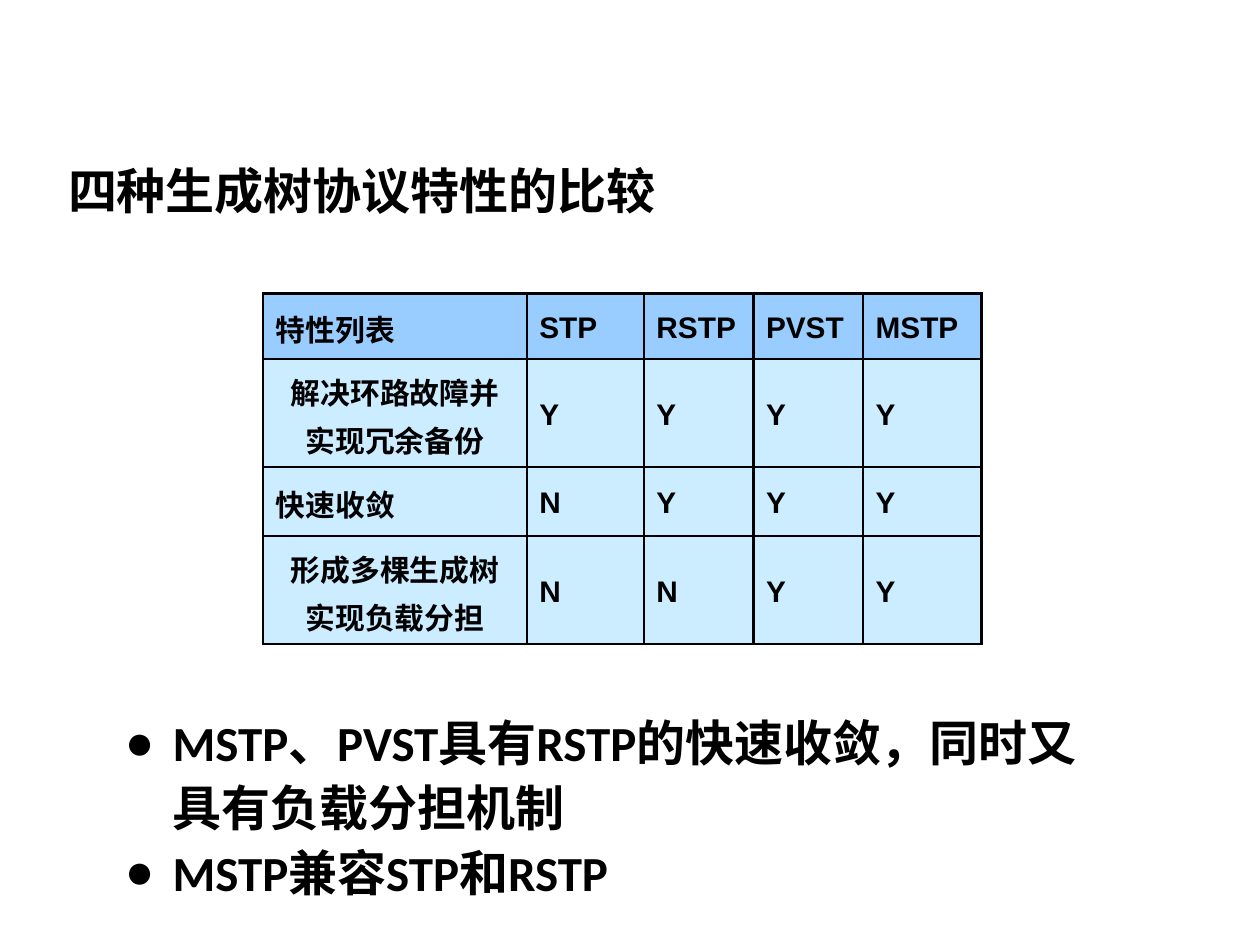
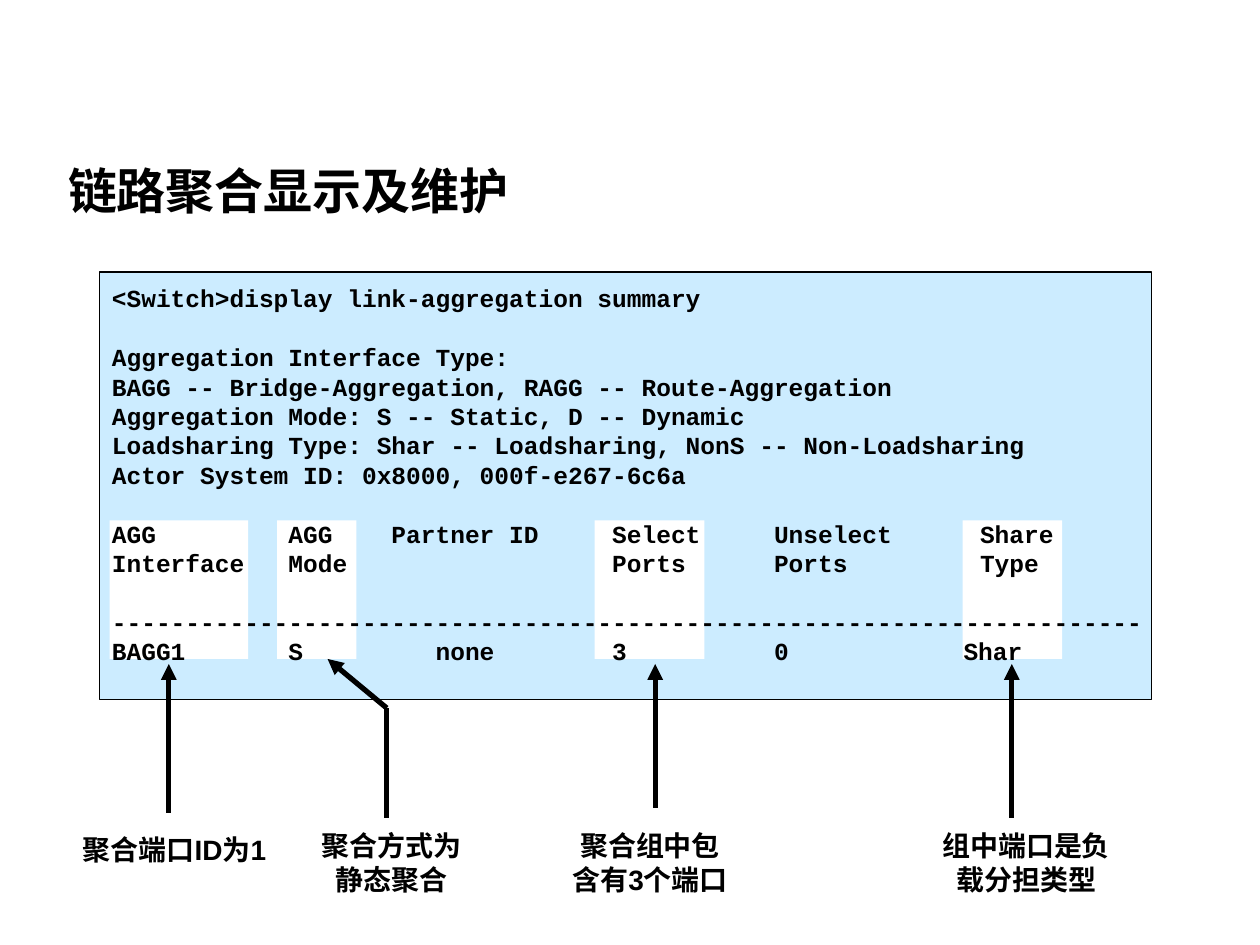
from dataclasses import dataclass

from lxml.etree import SubElement
from pptx import Presentation
from pptx.dml.color import RGBColor
from pptx.enum.shapes import MSO_CONNECTOR, MSO_SHAPE
from pptx.enum.text import MSO_ANCHOR, MSO_AUTO_SIZE, PP_ALIGN
from pptx.oxml.ns import qn
from pptx.util import Inches, Length, Pt

BLACK = RGBColor(0x00, 0x00, 0x00)
WHITE = RGBColor(0xFF, 0xFF, 0xFF)
PALE_BLUE = RGBColor(0xCC, 0xEC, 0xFF)
HEADER_BLUE = RGBColor(0x99, 0xCC, 0xFF)
CJK_FONT = "Noto Sans CJK JP"

SLIDE_WIDTH, SLIDE_HEIGHT = Inches(10), Inches(7.5)
GRID_COLUMNS, GRID_ROWS = 100, 75
CODE_LEADING = Pt(16.8)
COLUMN_ROW, RESULT_TOP, RESULT_HEIGHT = 41.3, 41.3, 11


@dataclass(frozen=True)
class Area:
    """A rectangle in grid columns and rows."""
    left: float
    top: float
    width: float
    height: float

    def lengths(self) -> tuple[Length, Length, Length, Length]:
        return col(self.left), row(self.top), col(self.width), row(self.height)


@dataclass(frozen=True)
class Callout:
    """A highlighted output column, the arrow to it and its explanation."""
    column_left: float
    column_width: float
    arrow: tuple[tuple[float, float], ...]
    label: str
    label_area: Area


TITLE_AREA = Area(4.4, 11.5, 86.1, 7.1)
POINTS_AREA = Area(8.9, 55.6, 80.8, 18.1)
OUTPUT_AREA = Area(7.9, 21.6, 83.5, 33.9)
OUTPUT_TEXT_AREA = Area(7.9, 22, 84.3, 31.2)
TABLE_LEFT, TABLE_TOP = 20.9, 23.3
TABLE_COLUMNS = (20.9, 9.3, 8.7, 8.7, 9.4)
TABLE_ROWS = (5.2, 7.3, 5.5, 7.3)

FEATURES = (
    ("特性列表", "STP", "RSTP", "PVST", "MSTP"),
    ("解决环路故障并实现冗余备份", "Y", "Y", "Y", "Y"),
    ("快速收敛", "N", "Y", "Y", "Y"),
    ("形成多棵生成树实现负载分担", "N", "N", "Y", "Y"),
)
WRAPPED_ROWS = (1, 3)

POINTS = (
    "MSTP、PVST具有RSTP的快速收敛，同时又具有负载分担机制",
    "MSTP兼容STP和RSTP",
)

# Each block is set off from the one above by one line of space.
OUTPUT_BLOCKS = (
    ("<Switch>display link-aggregation summary",),
    ("Aggregation Interface Type:",
     "BAGG -- Bridge-Aggregation, RAGG -- Route-Aggregation",
     "Aggregation Mode: S -- Static, D -- Dynamic",
     "Loadsharing Type: Shar -- Loadsharing, NonS -- Non-Loadsharing",
     "Actor System ID: 0x8000, 000f-e267-6c6a"),
    ("AGG         AGG    Partner ID     Select     Unselect      Share",
     "Interface   Mode                  Ports      Ports         Type"),
    ("-" * 70,
     "BAGG1       S         none        3          0 　　　　　  　Shar"),
)

CALLOUTS = (
    Callout(8.7, 11, ((13.4, 64.5), (13.4, 52.7)),
            "聚合端口ID为1", Area(5.2, 65.6, 17.3, 3.7)),
    Callout(22, 6.3, ((30.7, 64.9), (30.7, 56.2), (26, 52.3)),
            "聚合方式为静态聚合", Area(23.6, 65.3, 15, 6.4)),
    Callout(47.2, 8.7, ((52, 64.1), (52, 52.7)),
            "聚合组中包含有3个端口", Area(44.1, 65.3, 15, 6.4)),
    Callout(76.4, 7.9, ((80.3, 64.9), (80.3, 52.7)),
            "组中端口是负载分担类型", Area(73.2, 65.3, 16.5, 6.4)),
)


def col(count: float) -> Length:
    return Length(round(SLIDE_WIDTH * count / GRID_COLUMNS))


def row(count: float) -> Length:
    return Length(round(SLIDE_HEIGHT * count / GRID_ROWS))


def style(paragraph, size: float, latin: str) -> None:
    """Set bold black text, with one font for all Chinese characters."""
    font = paragraph.font
    font.size, font.bold, font.name = Pt(size), True, latin
    font.color.rgb = BLACK
    defaults = paragraph._p.pPr.find(qn("a:defRPr"))
    SubElement(defaults, qn("a:ea"), typeface=CJK_FONT)


def place(shape, area: Area) -> None:
    shape.left, shape.top, shape.width, shape.height = area.lengths()


def add_titled_slide(deck, layout_index: int, heading: str):
    slide = deck.slides.add_slide(deck.slide_layouts[layout_index])
    title = slide.shapes.title
    place(title, TITLE_AREA)
    frame = title.text_frame
    frame.text = heading
    frame.vertical_anchor = MSO_ANCHOR.MIDDLE
    frame.auto_size = MSO_AUTO_SIZE.NONE
    frame.paragraphs[0].alignment = PP_ALIGN.LEFT
    style(frame.paragraphs[0], 28, CJK_FONT)
    return slide


def add_bullet(paragraph) -> None:
    properties = paragraph._p.get_or_add_pPr()
    properties.set("marL", str(Inches(0.38)))
    properties.set("indent", str(-Inches(0.38)))
    color = SubElement(properties, qn("a:buClr"))
    SubElement(color, qn("a:srgbClr"), val=str(BLACK))
    SubElement(properties, qn("a:buFont"), typeface="Arial")
    SubElement(properties, qn("a:buChar"), char="●")


def fill_points(body) -> None:
    place(body, POINTS_AREA)
    frame = body.text_frame
    frame.text = "\n".join(POINTS)
    frame.auto_size = MSO_AUTO_SIZE.NONE
    for paragraph in frame.paragraphs:
        add_bullet(paragraph)
        paragraph.line_spacing = 1.1
        paragraph.space_before = Pt(0)
        style(paragraph, 28, "Calibri")


def border(cell) -> None:
    properties = cell._tc.get_or_add_tcPr()
    for position, side in enumerate(("a:lnL", "a:lnR", "a:lnT", "a:lnB")):
        line = properties.makeelement(qn(side), {"w": str(Pt(1.5))})
        fill = SubElement(line, qn("a:solidFill"))
        SubElement(fill, qn("a:srgbClr"), val=str(BLACK))
        properties.insert(position, line)


def add_feature_table(slide) -> None:
    area = Area(TABLE_LEFT, TABLE_TOP, sum(TABLE_COLUMNS), sum(TABLE_ROWS))
    table = slide.shapes.add_table(
        len(TABLE_ROWS), len(TABLE_COLUMNS), *area.lengths()).table
    table.first_row = table.horz_banding = False
    for column, width in zip(table.columns, TABLE_COLUMNS):
        column.width = col(width)
    for line, height in zip(table.rows, TABLE_ROWS):
        line.height = row(height)
    for r, values in enumerate(FEATURES):
        for c, value in enumerate(values):
            cell = table.cell(r, c)
            cell.text = value
            cell.vertical_anchor = MSO_ANCHOR.MIDDLE
            cell.fill.solid()
            cell.fill.fore_color.rgb = PALE_BLUE if r else HEADER_BLUE
            border(cell)
            paragraph = cell.text_frame.paragraphs[0]
            paragraph.line_spacing = 1.1
            if c == 0 and r in WRAPPED_ROWS:
                paragraph.alignment = PP_ALIGN.CENTER
            style(paragraph, 17, "Arial")


def add_panel(slide, area: Area, color: RGBColor, outlined: bool = False) -> None:
    panel = slide.shapes.add_shape(MSO_SHAPE.RECTANGLE, *area.lengths())
    panel.shadow.inherit = False
    panel.fill.solid()
    panel.fill.fore_color.rgb = color
    if outlined:
        panel.line.color.rgb = BLACK
        panel.line.width = Pt(0.75)
    else:
        panel.line.fill.background()


def add_text(slide, area: Area):
    frame = slide.shapes.add_textbox(*area.lengths()).text_frame
    frame.word_wrap = True
    return frame


def add_command_output(slide) -> None:
    frame = add_text(slide, OUTPUT_TEXT_AREA)
    frame.text = "\n".join(line for block in OUTPUT_BLOCKS for line in block)
    paragraphs = iter(frame.paragraphs)
    for b, block in enumerate(OUTPUT_BLOCKS):
        for n, _ in enumerate(block):
            paragraph = next(paragraphs)
            paragraph.line_spacing = CODE_LEADING
            if b and n == 0:
                paragraph.space_before = CODE_LEADING
            style(paragraph, 14, "Courier New")


def add_arrow(slide, points: tuple[tuple[float, float], ...]) -> None:
    """Draw straight segments through the points, with a head at the last."""
    for start, end in zip(points, points[1:]):
        segment = slide.shapes.add_connector(
            MSO_CONNECTOR.STRAIGHT,
            col(start[0]), row(start[1]), col(end[0]), row(end[1]))
        segment.line.color.rgb = BLACK
        segment.line.width = Pt(3)
        if end == points[-1]:
            SubElement(segment.line._get_or_add_ln(), qn("a:tailEnd"),
                       type="triangle")
        SubElement(segment._element.spPr, qn("a:effectLst"))


def add_label(slide, callout: Callout) -> None:
    frame = add_text(slide, callout.label_area)
    frame.text = callout.label
    frame.paragraphs[0].alignment = PP_ALIGN.CENTER
    style(frame.paragraphs[0], 16, "Arial")


def build_comparison(deck) -> None:
    slide = add_titled_slide(deck, 1, "四种生成树协议特性的比较")
    add_feature_table(slide)
    fill_points(slide.placeholders[1])


def build_aggregation(deck) -> None:
    slide = add_titled_slide(deck, 5, "链路聚合显示及维护")
    add_panel(slide, OUTPUT_AREA, PALE_BLUE, outlined=True)
    for callout in CALLOUTS:
        add_panel(slide, Area(callout.column_left, RESULT_TOP,
                              callout.column_width, RESULT_HEIGHT), WHITE)
    add_command_output(slide)
    for callout in CALLOUTS:
        add_arrow(slide, callout.arrow)
        add_label(slide, callout)


def main() -> None:
    deck = Presentation()
    deck.slide_width, deck.slide_height = SLIDE_WIDTH, SLIDE_HEIGHT
    build_comparison(deck)
    build_aggregation(deck)
    deck.save("out.pptx")


if __name__ == "__main__":
    main()
